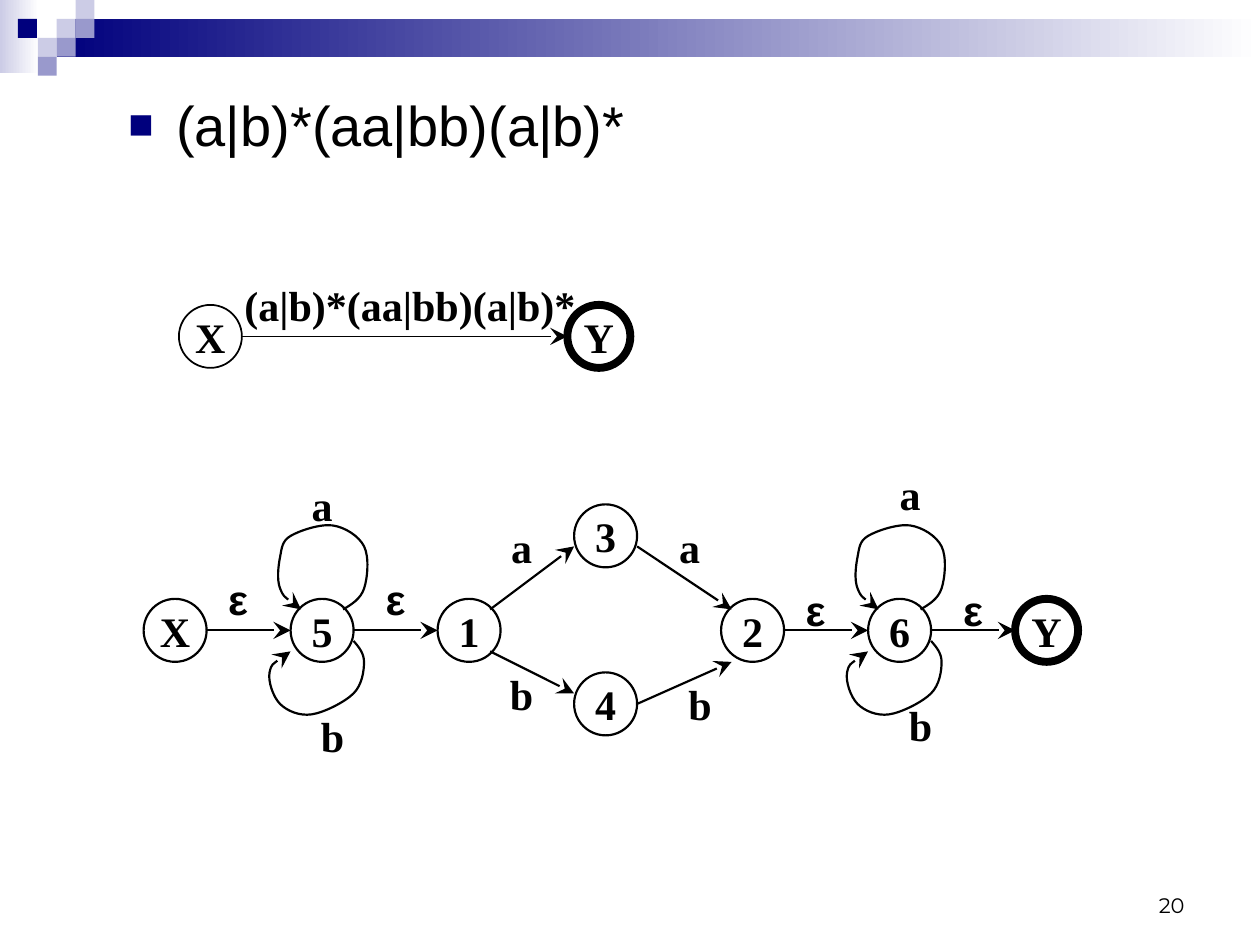
from dataclasses import dataclass

from lxml import etree
from pptx import Presentation
from pptx import util as u
from pptx.dml.color import RGBColor
from pptx.enum import shapes, text
from pptx.oxml import parse_xml
from pptx.oxml.ns import nsdecls, qn

BLACK, NAVY, LILAC, LAVENDER, WHITE = "000000", "00007D", "9999CC", "CCCCE6", "FFFFFF"
SERIF, SANS = "Times New Roman", "Arial"
TILE = 0.15        # side of one decorative square
CELL = 1 / 12      # grid step of the automata
STATE = 6          # diameter of a state, in cells


@dataclass(frozen=True)
class Diagram:
    """Origin of an automaton's grid, in inches, and its usual line width."""
    left: float
    top: float
    line: float

    def at(self, col: float, row: float) -> tuple[int, int]:
        return u.Inches(self.left + col * CELL), u.Inches(self.top + row * CELL)


@dataclass(frozen=True)
class State:
    name: str
    col: int
    row: int
    final: bool = False


@dataclass(frozen=True)
class Label:
    symbol: str
    col: int
    row: int
    width: int = STATE


@dataclass(frozen=True)
class Arrow:
    start: tuple[int, int]
    end: tuple[int, int]


def color(hex_code: str) -> RGBColor:
    return RGBColor.from_string(hex_code)


def write(shape, words: str, size: float, font: str, align, anchor, bold=False, wrap=False):
    frame = shape.text_frame
    frame.word_wrap, frame.vertical_anchor = wrap, anchor
    paragraph = frame.paragraphs[0]
    paragraph.text, paragraph.alignment = words, align
    paragraph.font.size, paragraph.font.name = u.Pt(size), font
    paragraph.font.bold, paragraph.font.color.rgb = bold, color(BLACK)
    return paragraph


def write_symbol(shape, words: str) -> None:
    write(shape, words, 24, SANS if words == "ε" else SERIF,
          text.PP_ALIGN.CENTER, text.MSO_ANCHOR.MIDDLE, bold=True)


def outline(shape, width: float, arrow: bool = False) -> None:
    shape.line.color.rgb, shape.line.width = color(BLACK), u.Pt(width)
    if arrow:
        etree.SubElement(shape.line._get_or_add_ln(), qn("a:tailEnd"),
                         type="stealth", w="lg", len="lg")


def draw_bar(slide, left: float, top: float, width: float, height: float, *fill: str) -> None:
    """Draw a borderless rectangle in one colour, or in a gradient from left to right."""
    bar = slide.shapes.add_shape(shapes.MSO_SHAPE.RECTANGLE,
                                 *map(u.Inches, (left, top, width, height)))
    bar.shadow.inherit = False
    bar.line.fill.background()
    if len(fill) == 1:
        bar.fill.solid()
        bar.fill.fore_color.rgb = color(fill[0])
    else:
        bar.fill.gradient()
        bar.fill.gradient_angle = 0
        for stop, shade in zip(bar.fill.gradient_stops, fill):
            stop.color.rgb = color(shade)


def draw_state(slide, diagram: Diagram, state: State) -> None:
    circle = slide.shapes.add_shape(shapes.MSO_SHAPE.OVAL, *diagram.at(state.col, state.row),
                                    *[u.Inches(STATE * CELL)] * 2)
    circle.shadow.inherit = False
    circle.fill.background()
    outline(circle, 4.5 if state.final else diagram.line)
    write_symbol(circle, state.name)


def draw_label(slide, diagram: Diagram, label: Label) -> None:
    box = slide.shapes.add_textbox(*diagram.at(label.col, label.row),
                                   u.Inches(label.width * CELL), u.Inches(STATE * CELL))
    write_symbol(box, label.symbol)


def draw_arrow(slide, diagram: Diagram, arrow: Arrow) -> None:
    line = slide.shapes.add_connector(shapes.MSO_CONNECTOR.STRAIGHT,
                                      *diagram.at(*arrow.start), *diagram.at(*arrow.end))
    outline(line, diagram.line, arrow=True)
    etree.SubElement(line._element.spPr, qn("a:effectLst"))


def spline(knots: list[tuple[float, float]]) -> list[tuple[float, float]]:
    """Return Bézier points (two controls, one knot per piece) of a smooth curve."""
    def tangent(i: int) -> tuple[float, float]:
        return tuple((after - before) / 6 for before, after in zip(knots[i - 1], knots[i + 1]))

    def middle(p, q) -> tuple[float, float]:
        return (p[0] + q[0]) / 2, (p[1] + q[1]) / 2

    points, last = [], len(knots) - 1
    for i in range(last):
        (x0, y0), (x1, y1) = knots[i], knots[i + 1]
        leave = arrive = None
        if i > 0:
            dx, dy = tangent(i)
            leave = x0 + dx, y0 + dy
        if i + 1 < last:
            dx, dy = tangent(i + 1)
            arrive = x1 - dx, y1 - dy
        points += [leave or middle(knots[i], arrive), arrive or middle(leave, knots[i + 1]),
                   knots[i + 1]]
    return points


def draw_loop(slide, diagram: Diagram, state: State, knots: list[tuple[int, int]]) -> None:
    """Draw a curved arrow through knots given in cells from the state's corner."""
    def place(point) -> tuple[int, int]:
        return diagram.at(state.col + point[0], state.row + point[1])

    builder = slide.shapes.build_freeform(*place(knots[0]))
    builder.add_line_segments([place(p) for p in spline(knots)], close=False)
    loop = builder.convert_to_shape()
    segments = list(loop._element.iter(qn("a:lnTo")))
    for i in range(0, len(segments), 3):
        curve = etree.SubElement(segments[i].getparent(), qn("a:cubicBezTo"))
        for segment in segments[i:i + 3]:
            curve.append(segment[0])
            segment.getparent().remove(segment)
    loop.shadow.inherit = False
    loop.fill.background()
    outline(loop, diagram.line, arrow=True)


def draw_banner(slide) -> None:
    draw_bar(slide, 0, 0, 0.31, 0.58, LAVENDER, WHITE)
    draw_bar(slide, 3 * TILE, TILE, 10 - 3 * TILE, 2 * TILE, NAVY, WHITE)
    for col, row, shade in [(3, 1, LAVENDER), (4, 0, LAVENDER), (4, 1, LILAC), (2, 2, LAVENDER),
                            (0.95, 1, NAVY), (3, 2, LILAC), (2, 3, LILAC)]:
        draw_bar(slide, col * TILE, row * TILE, TILE, TILE, shade)


def draw_heading(slide, words: str) -> None:
    box = slide.shapes.add_textbox(*map(u.Inches, (0.92, 0.67, 8.5, 0.67)))
    heading = write(box, words, 32, SANS, text.PP_ALIGN.LEFT, text.MSO_ANCHOR.TOP, wrap=True)
    heading.space_before = u.Pt(8)
    props = heading._p.get_or_add_pPr()
    props.set("marL", str(u.Inches(0.38)))
    props.set("indent", str(-u.Inches(0.38)))
    font_defaults = props.find(qn("a:defRPr"))
    for bullet in (f'<a:buClr {nsdecls("a")}><a:srgbClr val="{NAVY}"/></a:buClr>',
                   f'<a:buSzPct {nsdecls("a")} val="75000"/>',
                   f'<a:buFont {nsdecls("a")} typeface="{SANS}"/>',
                   f'<a:buChar {nsdecls("a")} char="■"/>'):
        font_defaults.addprevious(parse_xml(bullet))


EXPRESSION = "(a|b)*(aa|bb)(a|b)*"
UPPER_LOOP = [(5, 1), (7, -1), (7, -5), (4, -7), (0, -6), (-1, -4), (-1, -1), (1, 1)]
LOWER_LOOP = [(6, 4), (7, 6), (6, 9), (2, 11), (-1, 10), (-2, 7), (0, 5)]
FIVE, SIX = State("5", 14, 13), State("6", 69, 13)

SUMMARY = (Diagram(1.42, 2.17, 1),
           [State("X", 0, 3), State("Y", 37, 3, final=True)],
           [Arrow((6, 6), (37, 6))], [Label(EXPRESSION, 4, 0, 36)], [])
EXPANDED = (
    Diagram(1.14, 3.67, 1.25),
    [State("X", 0, 13), FIVE, State("1", 28, 13), State("3", 41, 4), State("4", 41, 20),
     State("2", 55, 13), SIX, State("Y", 83, 13, final=True)],
    [Arrow((left, 16), (right, 16)) for left, right in [(6, 14), (20, 28), (61, 69), (75, 83)]]
    + [Arrow((33, 14), (41, 8)), Arrow((33, 18), (41, 22)),
       Arrow((47, 8), (56, 14)), Arrow((47, 23), (56, 19))],
    [Label("ε", 6, 10), Label("ε", 21, 10), Label("ε", 61, 11), Label("ε", 76, 11),
     Label("a", 14, 1), Label("b", 15, 23), Label("a", 70, 0), Label("b", 71, 22),
     Label("a", 33, 5), Label("b", 33, 19), Label("a", 49, 5), Label("b", 50, 20)],
    [(state, knots) for state in (FIVE, SIX) for knots in (UPPER_LOOP, LOWER_LOOP)])


def main() -> None:
    deck = Presentation()
    deck.slide_width, deck.slide_height = u.Inches(10), u.Inches(7.5)
    slide = deck.slides.add_slide(deck.slide_layouts[6])
    draw_banner(slide)
    page = slide.shapes.add_textbox(*map(u.Inches, (7.17, 6.83, 2.33, 0.5)))
    write(page, "20", 12, "Montserrat", text.PP_ALIGN.RIGHT, text.MSO_ANCHOR.BOTTOM, wrap=True)
    draw_heading(slide, EXPRESSION)
    for diagram, states, arrows, labels, loops in (SUMMARY, EXPANDED):
        for draw, parts in ((draw_state, states), (draw_arrow, arrows), (draw_label, labels)):
            for part in parts:
                draw(slide, diagram, part)
        for state, knots in loops:
            draw_loop(slide, diagram, state, knots)
    deck.save("out.pptx")


if __name__ == "__main__":
    main()
